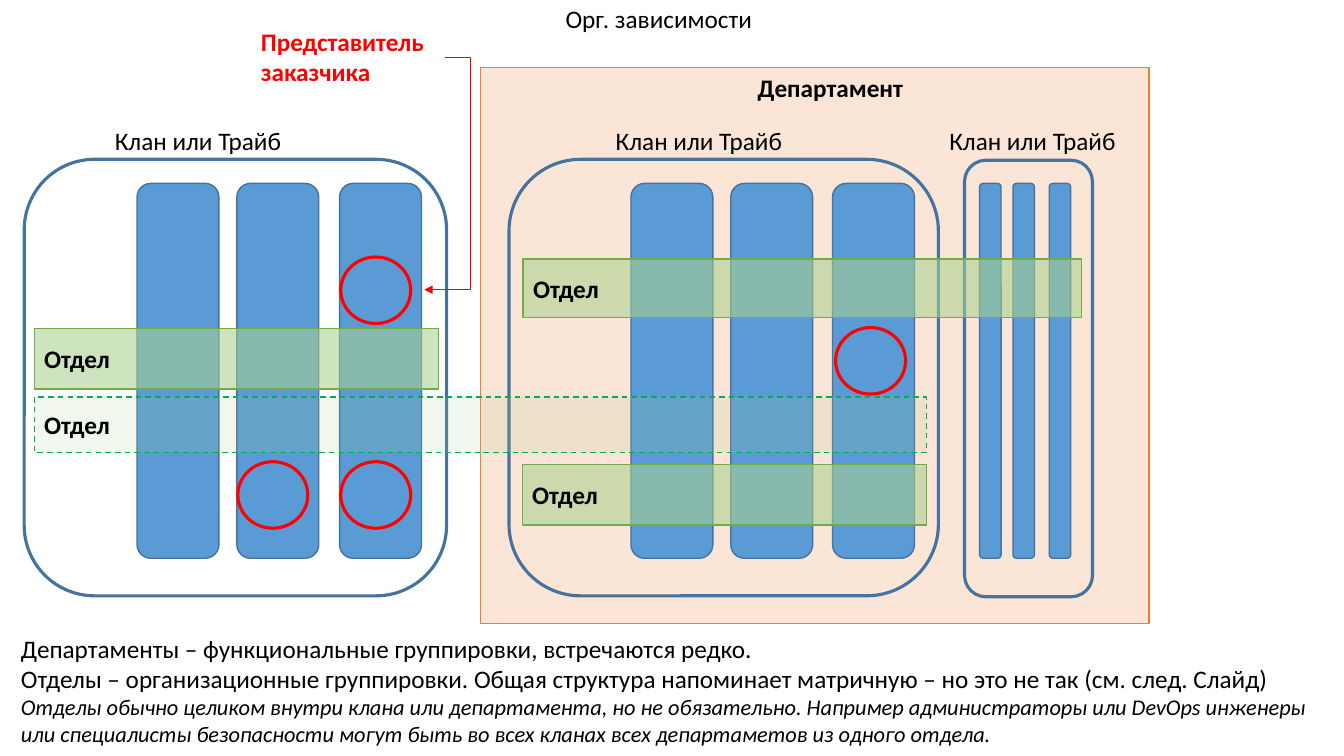
"""Draw the slide of departments that cut across clans."""
from pptx import Presentation
from pptx import util as u
from pptx.dml.color import RGBColor
from pptx.enum import dml, shapes, text
from pptx.oxml.ns import qn
from lxml import etree

Pt = u.Pt
INK = {"black": "000000", "red": "FF0000", "blue": "5B9BD5", "navy": "43739E",
       "peach": "FBE5D6", "orange": "ED7D31", "sage": "A9D18E",
       "green": "70AD47", "dash": "00B050"}
FORM = shapes.MSO_SHAPE
BOX = {"word_wrap": True, "auto_size": text.MSO_AUTO_SIZE.SHAPE_TO_FIT_TEXT,
       "vertical_anchor": text.MSO_ANCHOR.TOP}
BAND = {"word_wrap": True, "vertical_anchor": text.MSO_ANCHOR.MIDDLE}
TOP, TALL = 131, 267.8


def rgb(name):
    return RGBColor.from_string(INK[name])


def apply(item, style):
    for key, value in style.items():
        setattr(item, key, value)


def write(shape, lines, frame, align=text.PP_ALIGN.LEFT, color="black", **font):
    body = shape.text_frame
    apply(body, frame)
    for i, (words, extra) in enumerate(lines):
        para = body.paragraphs[0] if i == 0 else body.add_paragraph()
        apply(para, {"alignment": align, "line_spacing": 1.0, "space_before": Pt(0)})
        run = para.add_run()
        run.text = words
        apply(run.font, {"name": "Calibri", "size": Pt(18), **font, **extra})
        run.font.color.rgb = rgb(color)


def label(slide, place, words, frame=BOX, **style):
    box = slide.shapes.add_textbox(*map(Pt, place))
    write(box, [(words, {})], frame, **style)


def block(slide, form, place, line, fill=None, width=1, alpha=None):
    shape = slide.shapes.add_shape(form, *map(Pt, place))
    shape.shadow.inherit = False
    shape.line.color.rgb = rgb(line)
    shape.line.width = Pt(width)
    if fill is None:
        shape.fill.background()
        return shape
    shape.fill.solid()
    shape.fill.fore_color.rgb = rgb(fill)
    if alpha:
        tint = shape.fill._xPr.find(".//" + qn("a:srgbClr"))
        etree.SubElement(tint, qn("a:alpha"), val=str(alpha * 1000))
    return shape


def clan(slide, place, teams, wide, name):
    for left in teams:
        block(slide, FORM.ROUNDED_RECTANGLE, (left, TOP, wide, TALL), "navy", "blue")
    block(slide, FORM.ROUNDED_RECTANGLE, place, "navy", width=2.25)
    label(slide, name, "Клан или Трайб")


def band(slide, place, line="green", alpha=57):
    shape = block(slide, FORM.RECTANGLE, place, line, "sage", alpha=alpha)
    write(shape, [("Отдел", {})], BAND, bold=True)
    return shape


def arrow(slide, start, end, bend):
    link = slide.shapes.add_connector(
        shapes.MSO_CONNECTOR.ELBOW, *map(Pt, start + end))
    link.line.color.rgb = rgb("red")
    link.line.width = Pt(0.5)
    etree.SubElement(link.line._get_or_add_ln(), qn("a:tailEnd"), type="triangle")
    props = link._element.spPr
    etree.SubElement(props, qn("a:effectLst"))
    guides = props.find(".//" + qn("a:avLst"))
    etree.SubElement(guides, qn("a:gd"), name="adj1", fmla=f"val {bend}")


def main():
    deck = Presentation()
    apply(deck, {"slide_width": Pt(960), "slide_height": Pt(540)})
    slide = deck.slides.add_slide(deck.slide_layouts[5])
    title = slide.shapes.title
    apply(title, {"left": Pt(-9.4), "top": Pt(-1.4), "width": Pt(960), "height": Pt(29)})
    write(title, [("Орг. зависимости", {})], BOX, text.PP_ALIGN.CENTER)

    block(slide, FORM.RECTANGLE, (343.4, 48.2, 477.4, 397.4), "orange", "peach")
    clan(slide, (363.6, 113.8, 306.7, 311.8), (450.7, 522, 594.7), 58.5,
         (432.7, 85.7, 188.6, 29))
    clan(slide, (17.3, 113.8, 301.7, 311.8), (97.9, 169.2, 242.6), 58.5,
         (74.9, 85.7, 188.6, 29))
    clan(slide, (689, 114.5, 91.4, 311.8), (699.8, 723.6, 749.5), 15.3,
         (671, 85.7, 136.8, 29))

    shared = band(slide, (24.5, 283.7, 637.2, 39.6), "dash", 16)
    shared.line.dash_style = dml.MSO_LINE.DASH
    for place in ((373, 331.9, 288.7, 43.2), (24.5, 234.7, 288.7, 43.2),
                  (373.7, 185, 398.9, 41.8)):
        band(slide, place)
    label(slide, (534.2, 48.2, 119.5, 29), "Департамент",
          {**BOX, "word_wrap": False}, bold=True)

    notes = slide.shapes.add_textbox(Pt(7.9), Pt(448.6), Pt(942.5), Pt(90))
    write(notes, [
        ("Департаменты – функциональные группировки, встречаются редко.", {}),
        ("Отделы – организационные группировки. Общая структура напоминает "
         "матричную – но это не так (см. след. Слайд)", {}),
        ("Отделы обычно целиком внутри клана или департамента, но не обязательно. "
         "Например администраторы или DevOps инженеры или специалисты безопасности "
         "могут быть во всех кланах всех департаметов из одного отдела.",
         {"size": Pt(16), "italic": True})], BOX)

    for left, top in ((243.4, 183.6), (596.9, 234), (169.9, 329.8), (243.4, 329.8)):
        block(slide, FORM.OVAL, (left, top, 50, 47.5), "red", width=2.25)
    label(slide, (179.3, 15.1, 138.2, 51), "Представитель заказчика",
          color="red", bold=True)
    arrow(slide, (317.9, 41), (303.1, 207), -121100)
    deck.save("out.pptx")


if __name__ == "__main__":
    main()
